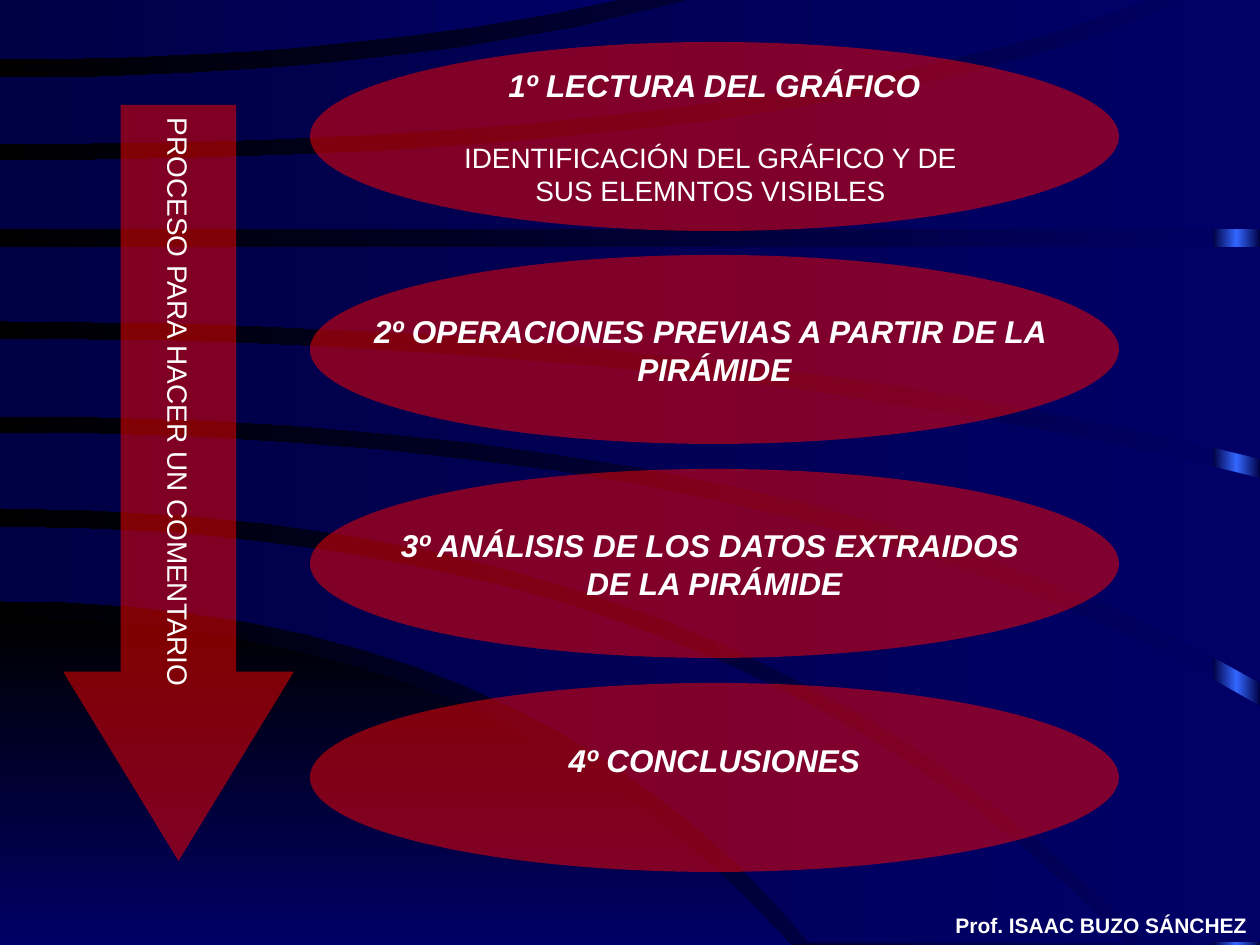
from copy import deepcopy
from lxml import etree
from pptx import Presentation
from pptx.dml.color import RGBColor
from pptx.enum.shapes import MSO_SHAPE
from pptx.enum.text import MSO_ANCHOR, PP_ALIGN
from pptx.oxml.ns import qn
from pptx.util import Emu, Pt

OVAL, ARROW, RECT = MSO_SHAPE.OVAL, MSO_SHAPE.DOWN_ARROW, MSO_SHAPE.RECTANGLE
MID, TOP = MSO_ANCHOR.MIDDLE, MSO_ANCHOR.TOP
CENTER, LEFT = PP_ALIGN.CENTER, PP_ALIGN.LEFT
SCALE = 914400 / 126
WIDE, HIGH = 1260, 945
NAVY, DARK, BLACK, GLOW = "000066", "000044", "000000", "3366FF"
RED, WHITE = "FF0000", "FFFFFF"

# Content: each step is its title lines, then its detail lines
STEPS = [
    (["1º LECTURA DEL GRÁFICO"],
     ["IDENTIFICACIÓN DEL GRÁFICO Y DE ", "SUS ELEMNTOS VISIBLES "]),
    (["2º OPERACIONES PREVIAS A PARTIR DE LA ", "PIRÁMIDE"], []),
    (["3º ANÁLISIS DE LOS DATOS EXTRAIDOS ", "DE LA PIRÁMIDE"], []),
    (["4º CONCLUSIONES"], []),
]
PROCESS = "PROCESO PARA HACER UN COMENTARIO"
AUTHOR = "Prof. ISAAC BUZO SÁNCHEZ"
LOW_PAD = {3: 36}  # extra bottom inset that lifts the last title

# Backdrop edges start level at the left: start y, bend x, end x, end y
CORNER = (619, 503, 791, 945), (945, 395, 791, 945), []
# Each band: upper edge, lower edge, extra corners between their ends
BANDS = [
    ((527, 726, 1125, 942), (601, 528, 809, 942), []),
    ((433, 806, WIDE, 706), (508, 738, 1145, 942), [(WIDE, 942)]),
    ((339, 706, WIDE, 478), (416, 806, WIDE, 683), []),
    ((247, 630, WIDE, 247), (321, 708, WIDE, 459), []),
    ((161, 830, 1188, 0), (229, 630, WIDE, 229), [(WIDE, 0)]),
    ((78, 405, 690, 0), (144, 768, 1149, 0), []),
    ((0, 309, 618, 0), (59, 351, 618, 0), []),
]
PARTS = 16  # straight pieces per edge


def px(n):
    return Emu(round(n * SCALE))


def rgb(code):
    return RGBColor.from_string(code)


def blend(fill, first, last, angle=180):
    fill.gradient()
    fill.gradient_angle = angle
    for stop, code, spot in zip(fill.gradient_stops, (first, last), (0, 1)):
        stop.color.rgb = rgb(code)
        stop.position = spot


def plain(shape):
    shape.shadow.inherit = False
    shape.line.fill.background()
    return shape


def add(kind, *box):
    return plain(slide.shapes.add_shape(kind, *map(px, box)))


def trace(start, bend, right, end):
    """Points along a quadratic curve that leaves the left side level."""
    steps = [i / PARTS for i in range(PARTS + 1)]
    return [(2 * t * (1 - t) * bend + t * t * right, start + t * t * (end - start))
            for t in steps]


def sweep(upper, lower, corners, first, last, angle=180):
    points = trace(*upper) + corners + trace(*lower)[::-1]
    pen = slide.shapes.build_freeform(*points[0], scale=SCALE)
    pen.add_line_segments(points[1:], close=True)
    blend(plain(pen.convert_to_shape()).fill, first, last, angle)


def tint(shape):
    """Fill with half-transparent red."""
    shape.fill.solid()
    shape.fill.fore_color.rgb = rgb(RED)
    color = shape._element.spPr.find(qn("a:solidFill"))[0]
    etree.SubElement(color, qn("a:alpha"), val="50000")


def write(frame, text, size=18, bold=False, italic=False, align=CENTER,
          anchor=MID, before=0):
    frame.word_wrap = False
    frame.vertical_anchor = anchor
    para = frame.paragraphs[0]
    if para.runs:
        para = frame.add_paragraph()
    para.alignment = align
    if before:
        para.space_before = Pt(before)
    run = para.add_run()
    run.text = text
    font = run.font
    font.name, font.size, font.bold, font.italic = "Arial", Pt(size), bold, italic
    font.color.rgb = rgb(WHITE)


deck = Presentation()
deck.slide_width, deck.slide_height = px(WIDE), px(HIGH)
slide = deck.slides.add_slide(deck.slide_layouts[6])

# Backdrop: gradient, glowing strip at the right, corner and bands
blend(slide.background.fill, NAVY, BLACK)
strip = add(RECT, 1213, 0, 47, HIGH)
blend(strip.fill, DARK, DARK)
edge = strip._element.spPr.find(".//" + qn("a:gs"))
edge.addnext(deepcopy(edge))
glow = strip.fill.gradient_stops[1]
glow.position, glow.color.rgb = 0.5, rgb(GLOW)
sweep(*CORNER, BLACK, NAVY, 270)
for band in BANDS:
    sweep(*band, NAVY, DARK)

# Steps
for i, (titles, details) in enumerate(STEPS):
    oval = add(OVAL, 310, 42 + 641 * i // 3, 809, 189)
    tint(oval)
    frame = oval.text_frame
    frame.margin_bottom = px(6 + LOW_PAD.get(i, 0))
    for line in titles:
        write(frame, line, bold=True, italic=True)
    for j, line in enumerate(details):
        write(frame, line, size=16, before=0 if j else 21)

# Process arrow
arrow = add(ARROW, 63, 105, 231, 756)
arrow.adjustments[0], arrow.adjustments[1] = 0.5, 0.82
tint(arrow)
frame = arrow.text_frame
frame.margin_left = frame.margin_right = px(6)
frame.margin_top = frame.margin_bottom = px(13)
write(frame, PROCESS, size=16)
frame._txBody.bodyPr.set("vert", "eaVert")

# Author
note = slide.shapes.add_textbox(*map(px, (943, 906, 317, 38)))
write(note.text_frame, AUTHOR, size=12, bold=True, align=LEFT, anchor=TOP)

deck.save("out.pptx")
